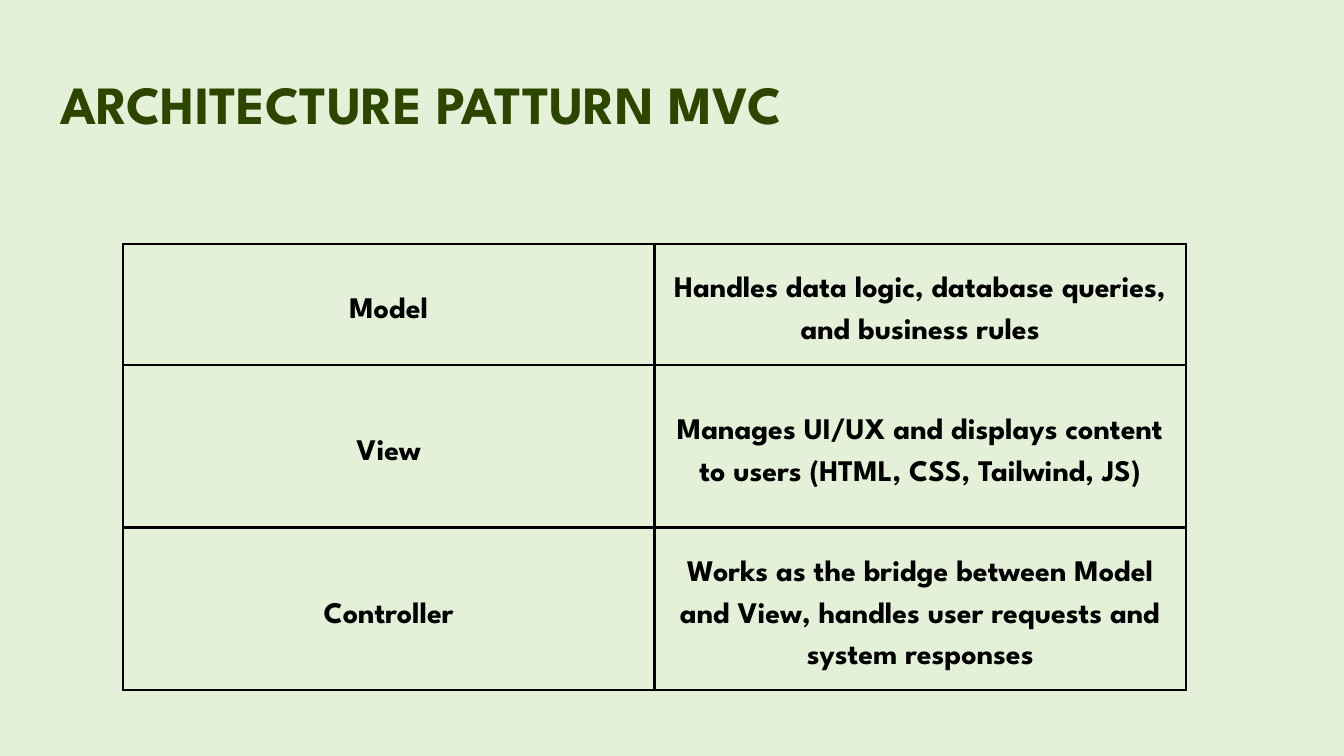
from dataclasses import dataclass

from lxml import etree
from pptx import Presentation
from pptx.dml.color import RGBColor
from pptx.enum.text import MSO_ANCHOR, PP_ALIGN
from pptx.oxml.ns import qn
from pptx.util import Inches, Pt

CENTER = PP_ALIGN.CENTER
MIDDLE = MSO_ANCHOR.MIDDLE
COLS, ROWS = 20, 11.25
EDGES = ("a:lnL", "a:lnR", "a:lnT", "a:lnB")


@dataclass(frozen=True)
class Theme:
    font: str = "League Spartan"
    back: str = "E4F0D8"
    head: str = "2C4600"
    ink: str = "000000"
    big: float = 57.6
    body: float = 32
    big_lead: float = 50.1
    lead: float = 44.8
    rule: float = 3
    pad: float = 0.21


class Deck:
    def __init__(self, theme):
        self.theme = theme
        self.file = Presentation()
        self.file.slide_width = Inches(COLS)
        self.file.slide_height = Inches(ROWS)
        self.unit = self.file.slide_width / COLS
        self.slide = self.file.slides.add_slide(self.file.slide_layouts[6])
        fill = self.slide.background.fill
        fill.solid()
        fill.fore_color.rgb = RGBColor.from_string(theme.back)

    def span(self, *cells):
        return [round(cell * self.unit) for cell in cells]

    def label(self, frame, text, size, lead, color):
        frame.word_wrap = True
        para = frame.paragraphs[0]
        para.text = text
        para.alignment = CENTER
        para.line_spacing = Pt(lead)
        font = para.font
        font.name, font.size, font.bold = self.theme.font, Pt(size), True
        font.color.rgb = RGBColor.from_string(color)

    def title(self, text, *area):
        look = self.theme
        frame = self.slide.shapes.add_textbox(*self.span(*area)).text_frame
        frame.margin_left = frame.margin_right = 0
        frame.margin_top = frame.margin_bottom = 0
        self.label(frame, text, look.big, look.big_lead, look.head)

    def border(self, cell):
        props = cell._tc.get_or_add_tcPr()
        for spot, edge in enumerate(EDGES):
            line = etree.Element(qn(edge), w=str(Pt(self.theme.rule)))
            fill = etree.SubElement(line, qn("a:solidFill"))
            etree.SubElement(fill, qn("a:srgbClr"), val=self.theme.ink)
            props.insert(spot, line)

    def cell(self, cell, text):
        look = self.theme
        pad = Inches(look.pad)
        cell.margin_left = cell.margin_right = pad
        cell.margin_top = cell.margin_bottom = pad
        cell.vertical_anchor = MIDDLE
        cell.fill.background()
        self.label(cell.text_frame, text, look.body, look.lead, look.ink)
        self.border(cell)

    def table(self, data, left, top, width, highs):
        area = self.span(left, top, width, sum(highs))
        grid = self.slide.shapes.add_table(len(data), len(data[0]), *area).table
        grid.first_row = grid.horz_banding = False
        for row, high, texts in zip(grid.rows, self.span(*highs), data):
            row.height = high
            for cell, text in zip(row.cells, texts):
                self.cell(cell, text)


def main():
    deck = Deck(Theme())
    parts = [
        ("Model", "Handles data logic, database queries, and business rules"),
        ("View", "Manages UI/UX and displays content to users (HTML, CSS, Tailwind, JS)"),
        ("Controller", "Works as the bridge between Model and View, handles user requests and system responses"),
    ]
    deck.table(parts, 1.83, 3.63, 15.82, (1.8, 2.42, 2.42))
    deck.title("ARCHITECTURE PATTURN MVC", -0.7, 1.31, 13.94, 0.76)
    deck.file.save("out.pptx")


if __name__ == "__main__":
    main()
